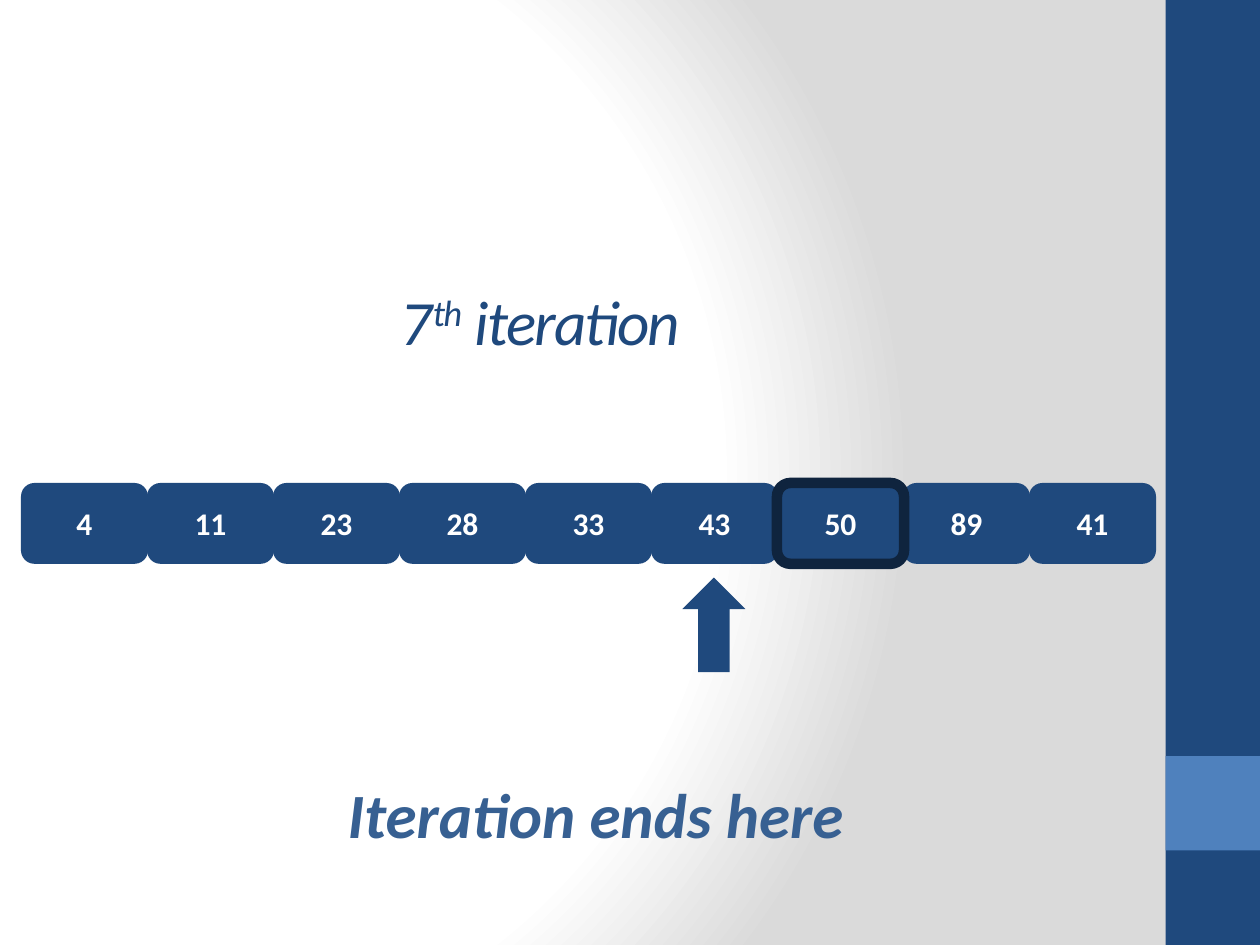
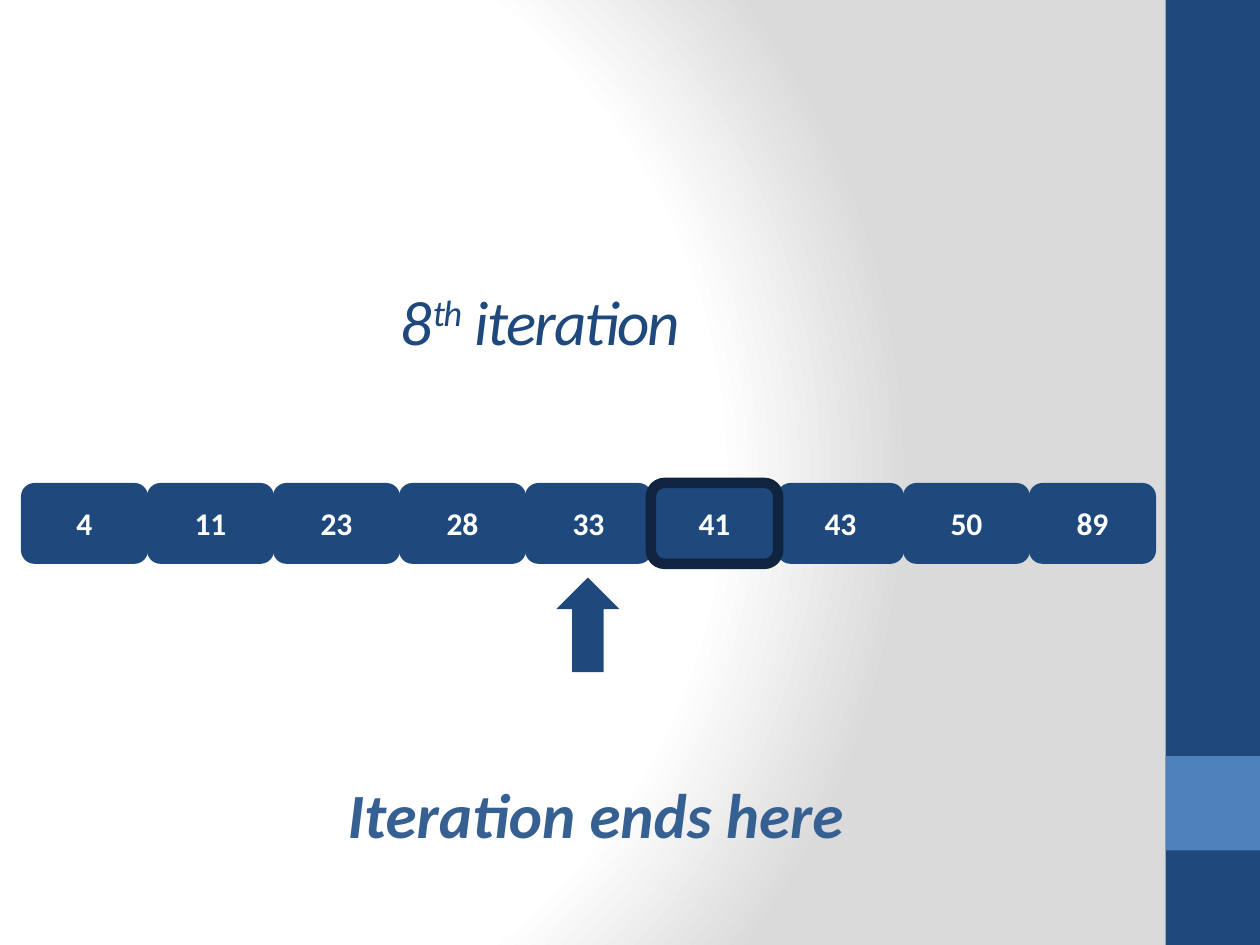
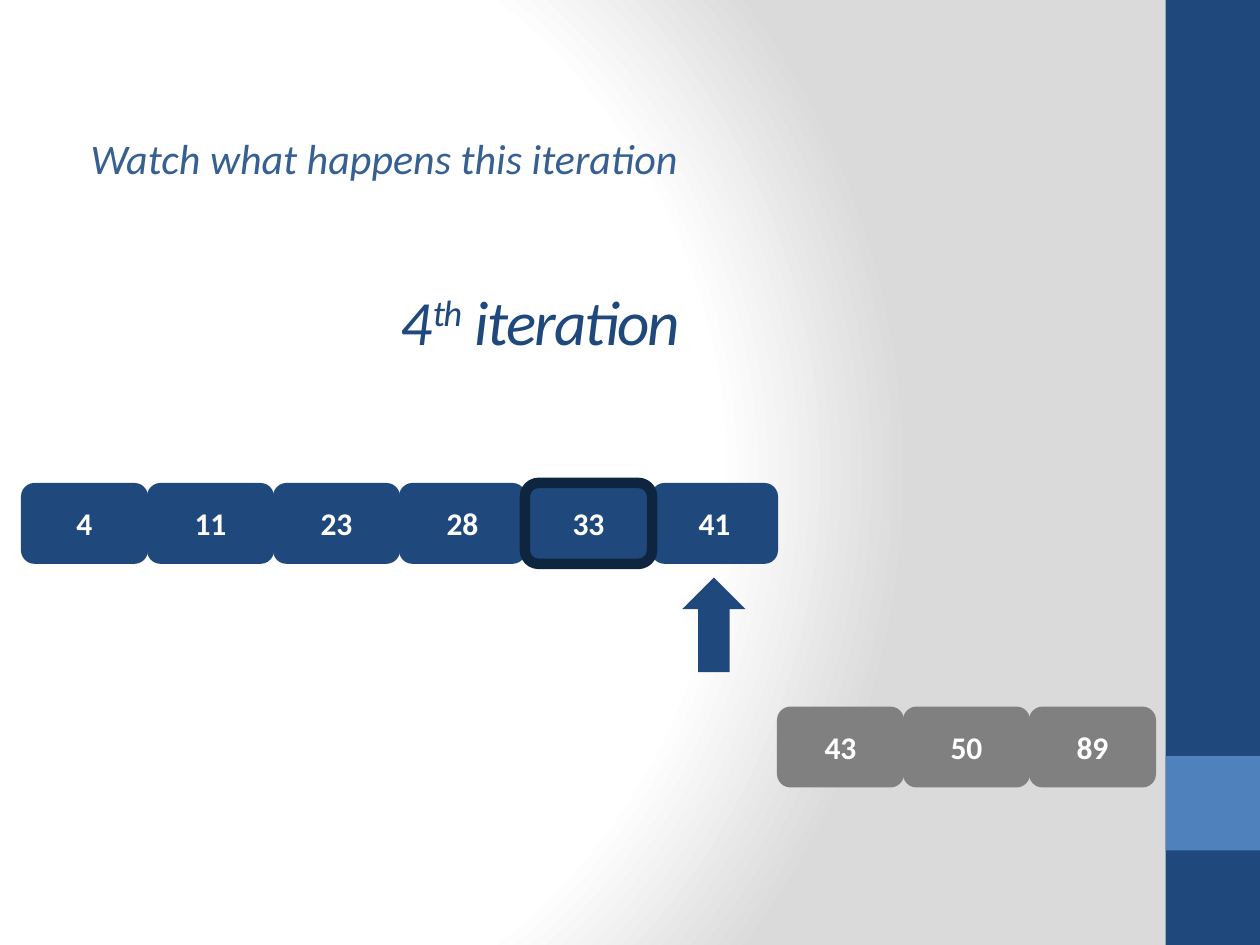
from dataclasses import dataclass
from typing import Optional

from lxml.etree import SubElement
from pptx import Presentation
from pptx.dml.color import RGBColor
from pptx.enum.shapes import MSO_SHAPE
from pptx.enum.text import MSO_ANCHOR, PP_ALIGN
from pptx.oxml.ns import qn
from pptx.util import Inches, Pt

COLORS = {
    "navy": "1F497D",
    "blue": "4F81BD",
    "accent": "376092",
    "outline": "0F243E",
    "gray": "808080",
    "white": "FFFFFF",
    "shade": "DADADA",
}
FONT = "Calibri"
UNIT = Inches(1) / 12  # the slide is a grid of 120 columns by 90 rows
COLUMNS, ROWS = 120, 90
CELL_LEFT, CELL_PITCH = 2, 12
CELL_WIDTH, CELL_HEIGHT = 12.1, 7.7
ARRAY_ROW, SORTED_ROW, ARROW_ROW = 46, 67.3, 55
BACKGROUND_STOPS = [(0, "white"), (75, "white"), (100, "shade")]
BACKGROUND_FOCUS = {"l": 20, "t": 50, "r": 100, "b": 50}


@dataclass(frozen=True)
class Box:
    """A rectangle in grid columns and rows."""
    left: float
    top: float
    width: float
    height: float

    def lengths(self) -> list[int]:
        """Give left, top, width and height in slide units."""
        return [round(value * UNIT)
                for value in (self.left, self.top, self.width, self.height)]


@dataclass(frozen=True)
class Iteration:
    """One step of the sort; cells are counted from zero."""
    number: int
    values: list[int]
    current: int
    arrow: int
    sorted_from: int = 9
    heading: Optional[str] = None
    closing: Optional[str] = None


BANDS = [(Box(111, 0, 9, ROWS), "navy"), (Box(111, 72, 9, 9), "blue")]
TITLE_BOX = Box(37, 23, 32, 15)
HEADING_BOX = Box(6, 12, 100, 63)
CLOSING_BOX = Box(6, 56, 100, 29)

ITERATIONS = [
    Iteration(7, [4, 11, 23, 28, 33, 43, 50, 89, 41], current=6, arrow=5,
              closing="Iteration ends here"),
    Iteration(8, [4, 11, 23, 28, 33, 41, 43, 50, 89], current=5, arrow=4,
              closing="Iteration ends here"),
    Iteration(4, [4, 11, 23, 28, 33, 41, 43, 50, 89], current=4, arrow=5,
              sorted_from=6, heading="Watch what happens this iteration"),
]


def rgb(name: str) -> RGBColor:
    """Look up a colour by name."""
    return RGBColor.from_string(COLORS[name])


def add_run(paragraph, text: str, *, size: float, color: str, bold=False,
            italic=False, spacing: float = 0, baseline: int = 0) -> None:
    """Append a formatted run; spacing is in points, baseline in percent."""
    run = paragraph.add_run()
    run.text = text
    font = run.font
    font.name, font.size, font.bold, font.italic = FONT, Pt(size), bold, italic
    font.color.rgb = rgb(color)
    properties = run._r.get_or_add_rPr()
    if spacing:
        properties.set("spc", str(round(spacing * 100)))
    if baseline:
        properties.set("baseline", str(baseline * 1000))


def add_figure(slide, kind, box: Box, color: str, outline: Optional[str] = None):
    """Draw a flat preset shape, with a thick outline if one is named."""
    shape = slide.shapes.add_shape(kind, *box.lengths())
    shape.shadow.inherit = False
    shape.fill.solid()
    shape.fill.fore_color.rgb = rgb(color)
    if outline:
        shape.line.color.rgb = rgb(outline)
        shape.line.width = Pt(6)
    else:
        shape.line.fill.background()
    return shape


def add_text_box(slide, box: Box, anchor, indent: float = 0):
    """Add a wrapping text box and return its frame."""
    frame = slide.shapes.add_textbox(*box.lengths()).text_frame
    frame.word_wrap = True
    frame.vertical_anchor = anchor
    if indent:
        properties = frame.paragraphs[0]._p.get_or_add_pPr()
        properties.set("marL", str(Inches(indent)))
    return frame


def set_background(master) -> None:
    """Give the master a circular gradient."""
    master.background.fill.gradient()
    gradient = next(master.element.iter(qn("a:gradFill")))
    for child in list(gradient):
        gradient.remove(child)
    stops = SubElement(gradient, qn("a:gsLst"))
    for position, color in BACKGROUND_STOPS:
        stop = SubElement(stops, qn("a:gs"), pos=str(position * 1000))
        SubElement(stop, qn("a:srgbClr"), val=COLORS[color])
    circle = SubElement(gradient, qn("a:path"))
    circle.set("path", "circle")
    focus = SubElement(circle, qn("a:fillToRect"))
    for side, share in BACKGROUND_FOCUS.items():
        focus.set(side, str(share * 1000))


def move_bands_to_master(slide, master) -> None:
    """Draw the side bands and hand them to the master."""
    for index, (box, color) in enumerate(BANDS):
        band = add_figure(slide, MSO_SHAPE.RECTANGLE, box, color)
        next(band.element.iter(qn("p:cNvPr"))).set("id", str(101 + index))
        master.shapes.element.append(band.element)


def add_cell(slide, iteration: Iteration, index: int) -> None:
    """Draw one value of the array."""
    is_sorted = index >= iteration.sorted_from
    box = Box(CELL_LEFT + index * CELL_PITCH,
              SORTED_ROW if is_sorted else ARRAY_ROW, CELL_WIDTH, CELL_HEIGHT)
    shape = add_figure(slide, MSO_SHAPE.ROUNDED_RECTANGLE, box,
                       "gray" if is_sorted else "navy",
                       "outline" if index == iteration.current else None)
    frame = shape.text_frame
    frame.vertical_anchor = MSO_ANCHOR.MIDDLE
    paragraph = frame.paragraphs[0]
    paragraph.alignment = PP_ALIGN.CENTER
    add_run(paragraph, str(iteration.values[index]), size=18, color="white",
            bold=True)


def add_title(slide, number: int) -> None:
    """Write the ordinal title."""
    paragraph = add_text_box(slide, TITLE_BOX, MSO_ANCHOR.MIDDLE).paragraphs[0]
    for text, baseline in ((str(number), 0), ("th", 30), (" iteration", 0)):
        add_run(paragraph, text, size=36, color="navy", italic=True,
                spacing=-1, baseline=baseline)


def draw_iteration(slide, iteration: Iteration) -> None:
    """Draw one step; the outlined cell lies above its neighbours."""
    if iteration.closing:
        frame = add_text_box(slide, CLOSING_BOX, MSO_ANCHOR.BOTTOM, 0.12)
        frame.margin_bottom = Inches(0.33)
        frame.paragraphs[0].alignment = PP_ALIGN.CENTER
        add_run(frame.paragraphs[0], iteration.closing, size=36,
                color="accent", bold=True, italic=True)
    order = sorted(range(len(iteration.values)),
                   key=lambda index: index == iteration.current)
    for index in order:
        add_cell(slide, iteration, index)
    arrow_left = CELL_LEFT + iteration.arrow * CELL_PITCH + 3
    add_figure(slide, MSO_SHAPE.UP_ARROW, Box(arrow_left, ARROW_ROW, 6, 9), "navy")
    add_title(slide, iteration.number)
    if iteration.heading:
        frame = add_text_box(slide, HEADING_BOX, MSO_ANCHOR.TOP, 0.12)
        add_run(frame.paragraphs[0], iteration.heading, size=24,
                color="accent", italic=True)


def main() -> None:
    """Build the presentation."""
    presentation = Presentation()
    presentation.slide_width = round(COLUMNS * UNIT)
    presentation.slide_height = round(ROWS * UNIT)
    blank_layout = presentation.slide_layouts[6]
    slides = [presentation.slides.add_slide(blank_layout) for _ in ITERATIONS]
    set_background(presentation.slide_master)
    move_bands_to_master(slides[0], presentation.slide_master)
    for slide, iteration in zip(slides, ITERATIONS):
        draw_iteration(slide, iteration)
    presentation.save("out.pptx")


main()
